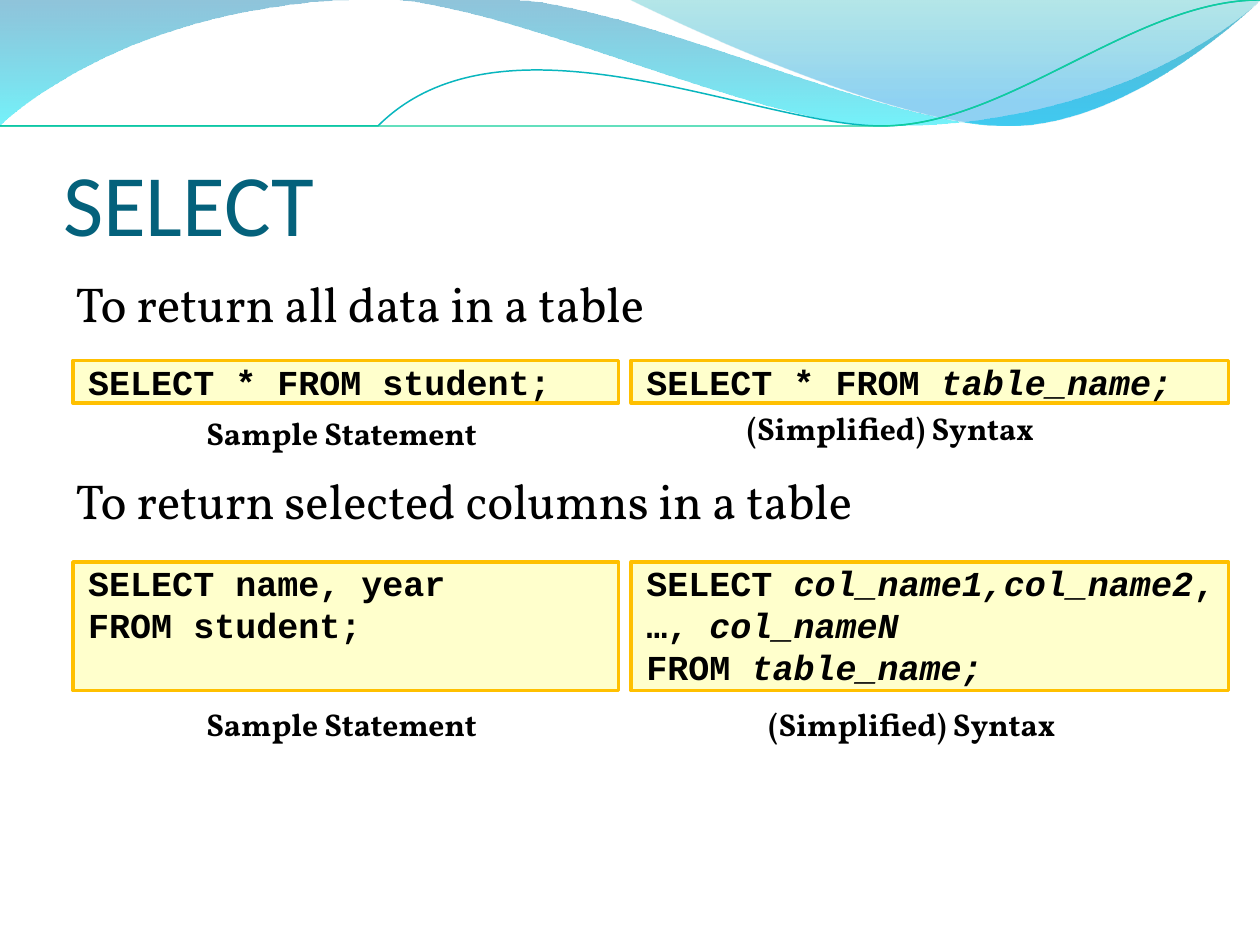
from lxml import etree
from pptx import Presentation
from pptx import util as u
from pptx.dml.color import RGBColor
from pptx.enum import shapes, text
from pptx.oxml.ns import qn

SANS, SERIF, MONO = "Calibri", "Vollkorn", "Courier New"
BLACK, TITLE_BLUE = "000000", "04617B"
CODE_FILL, CODE_LINE = "FFFFCC", "FFC000"

# Left and width of the two columns; top and height of the two code rows
COLUMNS = [(0.58, 4.33), (5.01, 4.74)]
ROWS = [(2.86, 0.34), (4.46, 1.02)]

# Waves: a start point, then segments of one point (line) or three (curve)
BACK_WAVE = [(0, 0), [(4.4, 0)],
             [(4.76, 0.17), (6.64, 0.63), (7.58, 0.63)],
             [(8.53, 0.63), (9.58, 0.26), (10, 0.09)],
             [(10, 0.36)],
             [(9.83, 0.44), (8.7, 0.76), (7.46, 0.75)],
             [(6.22, 0.75), (3.82, 0.28), (2.57, 0.34)],
             [(1.29, 0.36), (0.46, 0.83), (0, 1.13)]]
FRONT_WAVE = [(4.79, 0),
              [(5.09, 0.11), (6.82, 0.62), (7.69, 0.65)],
              [(8.56, 0.69), (9.61, 0.32), (10, 0.21)],
              [(10, 0)]]
UPPER_CURVE = [(0, 1.11),
               [(0.48, 0.93), (1.58, 0.57), (2.77, 0.52)],
               [(3.95, 0.47), (5.93, 0.89), (7.13, 0.8)],
               [(8.33, 0.71), (9.38, 0.15), (9.98, 0)]]
LOWER_CURVE = [(0, 1.04),
               [(0.47, 0.96), (1.64, 0.61), (2.83, 0.56)],
               [(4.03, 0.51), (5.97, 0.84), (7.17, 0.75)],
               [(8.36, 0.67), (9.41, 0.21), (10, 0.06)]]


def color(hex_string):
    return RGBColor.from_string(hex_string)


def place(shape, left, top, width, height):
    shape.left, shape.top = u.Inches(left), u.Inches(top)
    shape.width, shape.height = u.Inches(width), u.Inches(height)


def write(shape, lines, font, size, hex_color=BLACK, bold=False, space_before=0,
          anchor=text.MSO_ANCHOR.TOP, insets=(0.1, 0.05, 0.1, 0.05)):
    """Fill a shape with lines; every second part of a line is italic."""
    frame = shape.text_frame
    frame.word_wrap = True
    frame.auto_size = text.MSO_AUTO_SIZE.NONE
    frame.vertical_anchor = anchor
    (frame.margin_left, frame.margin_top,
     frame.margin_right, frame.margin_bottom) = map(u.Inches, insets)
    for number, line in enumerate(lines):
        paragraph = frame.add_paragraph() if number else frame.paragraphs[0]
        paragraph.alignment = text.PP_ALIGN.LEFT
        paragraph.space_before = u.Pt(space_before if number else 0)
        for position, part in enumerate(line):
            run = paragraph.add_run()
            run.text = part
            run.font.name, run.font.size = font, u.Pt(size)
            run.font.bold, run.font.italic = bold, position % 2 == 1
            run.font.color.rgb = color(hex_color)


def remove_bullets(shape):
    for paragraph in shape.text_frame.paragraphs:
        properties = paragraph._p.get_or_add_pPr()
        properties.set("marL", "0")
        properties.set("indent", "0")
        etree.SubElement(properties, qn("a:buNone"))


def add_curve(slide, outline, closed):
    start, *segments = outline
    builder = slide.shapes.build_freeform(*start, scale=u.Inches(1))
    for segment in segments:
        builder.add_line_segments(segment, close=False)
    if closed:
        builder.add_line_segments([start], close=True)
    shape = builder.convert_to_shape()
    shape.shadow.inherit = False
    lines = iter(list(shape._element.iter(qn("a:lnTo"))))
    for segment in segments:
        parts = [next(lines) for _ in segment]
        if len(parts) == 3:
            parts[0].tag  # first control point keeps its place in the path
            curve = etree.Element(qn("a:cubicBezTo"))
            parts[0].addprevious(curve)
            for part in parts:
                curve.append(part[0])
                part.getparent().remove(part)
    return shape


def add_wave(slide, outline, stops):
    """Add a filled wave; stops are (position, colour, opacity in percent)."""
    shape = add_curve(slide, outline, closed=True)
    shape.line.fill.background()
    shape.fill.gradient()
    shape.fill.gradient_angle = 270
    for stop, (position, hex_color, opacity) in zip(shape.fill.gradient_stops, stops):
        stop.position = position
        stop.color.rgb = color(hex_color)
    colors = shape._element.spPr.find(qn("a:gradFill")).iter(qn("a:srgbClr"))
    for element, (_, _, opacity) in zip(colors, stops):
        etree.SubElement(element, qn("a:alpha")).set("val", str(opacity * 1000))
    return shape


def add_wave_line(slide, outline, hex_color, width):
    shape = add_curve(slide, outline, closed=False)
    shape.fill.background()
    shape.line.color.rgb = color(hex_color)
    shape.line.width = u.Pt(width)
    return shape


def add_background(slide):
    waves = [
        add_wave(slide, BACK_WAVE, [(0, "0079AD", 44), (1, "00E9F7", 55)]),
        add_wave(slide, FRONT_WAVE, [(0, "00ABB4", 29), (0.8, "0099E4", 44)]),
        add_wave_line(slide, UPPER_CURVE, "09B6BE", 0.85),
        add_wave_line(slide, LOWER_CURVE, "10CF9B", 0.75),
    ]
    first = slide.shapes.title._element
    for wave in waves:
        first.addprevious(wave._element)


def add_code(slide, column, row, lines):
    (left, width), (top, height) = COLUMNS[column], ROWS[row]
    shape = slide.shapes.add_shape(
        shapes.MSO_SHAPE.RECTANGLE, *map(u.Inches, (left, top, width, height)))
    shape.shadow.inherit = False
    shape.fill.solid()
    shape.fill.fore_color.rgb = color(CODE_FILL)
    shape.line.color.rgb = color(CODE_LINE)
    shape.line.width = u.Pt(2)
    write(shape, lines, MONO, 20, bold=True, insets=(0.12, 0, 0.1, 0.05))


def add_caption(slide, caption, left, top):
    box = slide.shapes.add_textbox(*map(u.Inches, (left, top, 2.76, 0.4)))
    write(box, [[caption]], SERIF, 18, bold=True)


def main():
    presentation = Presentation()
    presentation.slide_width, presentation.slide_height = u.Inches(10), u.Inches(7.5)
    slide = presentation.slides.add_slide(presentation.slide_layouts[1])
    add_background(slide)

    title, body = slide.shapes.title, slide.placeholders[1]
    place(title, 0.5, 0.77, 9, 1.25)
    write(title, [["SELECT"]], SANS, 50, TITLE_BLUE,
          anchor=text.MSO_ANCHOR.BOTTOM, insets=(0, 0.05, 0, 0))
    place(body, 0.5, 2.12, 9, 4.8)
    write(body, [["To return all data in a table"],
                 ["To return selected columns in a table"]],
          SERIF, 28, space_before=79)
    remove_bullets(body)

    add_code(slide, 0, 0, [["SELECT * FROM student;"]])
    add_code(slide, 1, 0, [["SELECT * FROM ", "table_name;"]])
    add_code(slide, 0, 1, [["SELECT name, year"], ["FROM student;"]])
    add_code(slide, 1, 1, [["SELECT ", "col_name1,col_name2", ","],
                           ["…, ", "col_nameN"],
                           ["FROM ", "table_name;"]])

    for left, top in [(1.54, 3.24), (1.54, 5.55)]:
        add_caption(slide, "Sample Statement", left, top)
    for left, top in [(5.83, 3.2), (6, 5.55)]:
        add_caption(slide, "(Simplified) Syntax", left, top)
    presentation.save("out.pptx")


if __name__ == "__main__":
    main()
